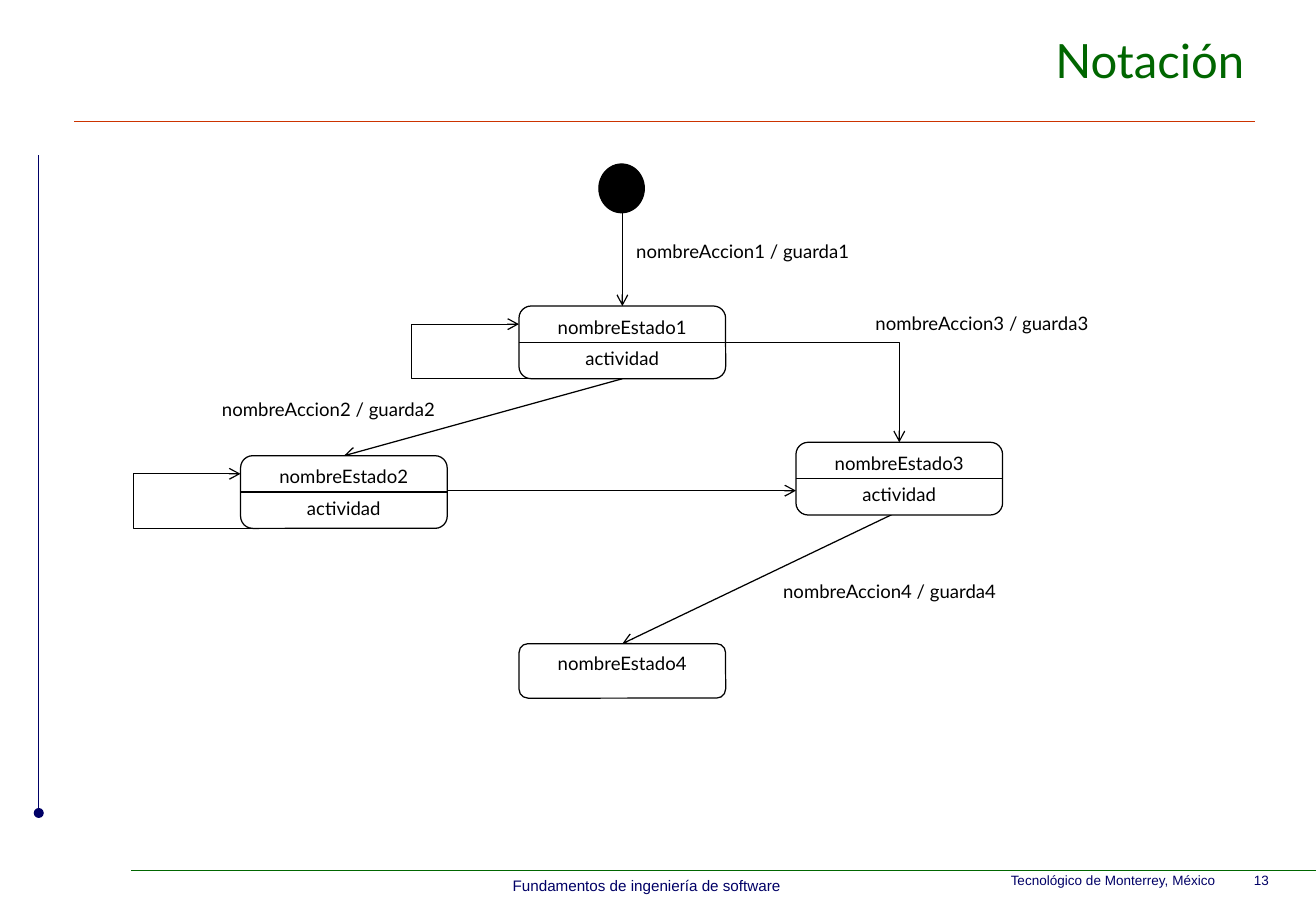
from lxml.etree import SubElement
from pptx import Presentation
from pptx.dml.color import RGBColor
from pptx.enum.shapes import MSO_CONNECTOR as Link, MSO_SHAPE as Shape
from pptx.enum.text import MSO_ANCHOR as Anchor, PP_ALIGN as Align
from pptx.oxml.ns import qn
from pptx.util import Cm, Pt

color = RGBColor.from_string
BLACK, WHITE, GREEN, NAVY, RED = "000000", "FFFFFF", "006600", "000066", "CC3300"
STATE_WIDTH, STATE_HEIGHT = 4.32, 1.52

deck = Presentation()
deck.slide_width, deck.slide_height = Cm(27.51), Cm(19.05)
page = deck.slides.add_slide(deck.slide_layouts[6])


def add_line(start, end, ink=BLACK, width=0.75, tip=None, bend=None, adjust=None):
    """Draw a line; tip is its end mark, bend a preset elbow and adjust its turning point."""
    kind = Link.ELBOW if bend else Link.STRAIGHT
    line = page.shapes.add_connector(kind, *map(Cm, start + end))
    line.line.color.rgb = color(ink)
    line.line.width = Pt(width)
    props = line._element.spPr
    if tip:
        SubElement(props.find(qn("a:ln")), qn("a:tailEnd"), type=tip)
    SubElement(props, qn("a:effectLst"))
    if bend:
        geometry = props.find(qn("a:prstGeom"))
        geometry.set("prst", bend)
        if adjust:
            SubElement(geometry.find(qn("a:avLst")), qn("a:gd"),
                       name="adj1", fmla=f"val {adjust}")


def write(box, lines, size, font="Lato", ink=BLACK, align=Align.CENTER,
          anchor=Anchor.TOP, wrap=True):
    frame = box.text_frame
    frame.word_wrap, frame.vertical_anchor = wrap, anchor
    for index, text in enumerate(lines):
        para = frame.add_paragraph() if index else frame.paragraphs[0]
        para.alignment = align
        if index:
            para.space_before = Pt(size / 2)
        span = para.add_run()
        span.text = text
        for name, value in {"size": Pt(size), "name": font}.items():
            setattr(span.font, name, value)
        span.font.color.rgb = color(ink)


# Page frame
add_line((1.55, 2.54), (26.24, 2.54), RED, 0.5)
add_line((2.74, 18.2), (27.51, 18.2), GREEN, 0.25)
add_line((0.81, 3.25), (0.81, 17), NAVY, tip="oval")

# Title, footers and transition labels
label = {"size": 11, "wrap": False}
texts = [
    ((1.7, 0.2, 24.56, 2.11), "Notación",
     {"size": 28, "ink": GREEN, "align": Align.RIGHT, "anchor": Anchor.MIDDLE}),
    ((20.88, 18.11, 6.5, 0.61), "Tecnológico de Monterrey, México\t13",
     {"size": 8, "font": "Arial", "ink": NAVY, "align": Align.LEFT}),
    ((10.44, 18.21, 6.15, 0.64), "Fundamentos de ingeniería de software",
     {"size": 9, "font": "Arial", "ink": NAVY, "wrap": False}),
    ((13.03, 4.9, 5, 0.74), "nombreAccion1 / guarda1", label),
    ((4.37, 8.2, 5, 0.74), "nombreAccion2 / guarda2", label),
    ((18.03, 6.4, 5, 0.74), "nombreAccion3 / guarda3", label),
    ((16.1, 12.01, 5, 0.74), "nombreAccion4 / guarda4", label),
]
for place, text, style in texts:
    write(page.shapes.add_textbox(*map(Cm, place)), [text], **style)

# Transitions between states
for start, end, bend in [
    ((13.01, 4.45), (13.01, 6.4), None),
    ((15.16, 7.16), (18.8, 9.25), "bentConnector2"),
    ((13.01, 7.92), (7.19, 9.53), None),
    ((19, 10.59), (13.01, 13.46), None),
    ((9.35, 10.26), (16.64, 10.26), None),
]:
    add_line(start, end, tip="arrow", bend=bend)

# Initial node and states: left, top, height, lines, loops back to itself
nodes = [
    (Shape.OVAL, (12.52, 3.43, 0.95, 1.02), BLACK, [], False),
    (Shape.ROUNDED_RECTANGLE, (10.85, 13.46, STATE_WIDTH, 1.14), WHITE,
     ["nombreEstado4"], False),
]
for number, left, top, loops in [
    (1, 10.85, 6.4, True), (2, 5.03, 9.53, True), (3, 16.64, 9.25, False),
]:
    nodes.append((Shape.ROUNDED_RECTANGLE, (left, top, STATE_WIDTH, STATE_HEIGHT), WHITE,
                  [f"nombreEstado{number}", "actividad"], loops))

for kind, place, fill, lines, loops in nodes:
    left, top, width, height = place
    node = page.shapes.add_shape(kind, *map(Cm, place))
    node.shadow.inherit = False
    node.fill.solid()
    node.fill.fore_color.rgb = color(fill)
    node.line.color.rgb = color(BLACK)
    node.line.width = Pt(0.75)
    write(node, lines, 11)
    if loops:
        add_line((left + 1.69, top + height), (left, top + height / 4), tip="arrow",
                 bend="bentConnector3", adjust=232500)
    if len(lines) > 1:
        middle = top + height / 2
        add_line((left, middle), (left + width, middle))

deck.save("out.pptx")
